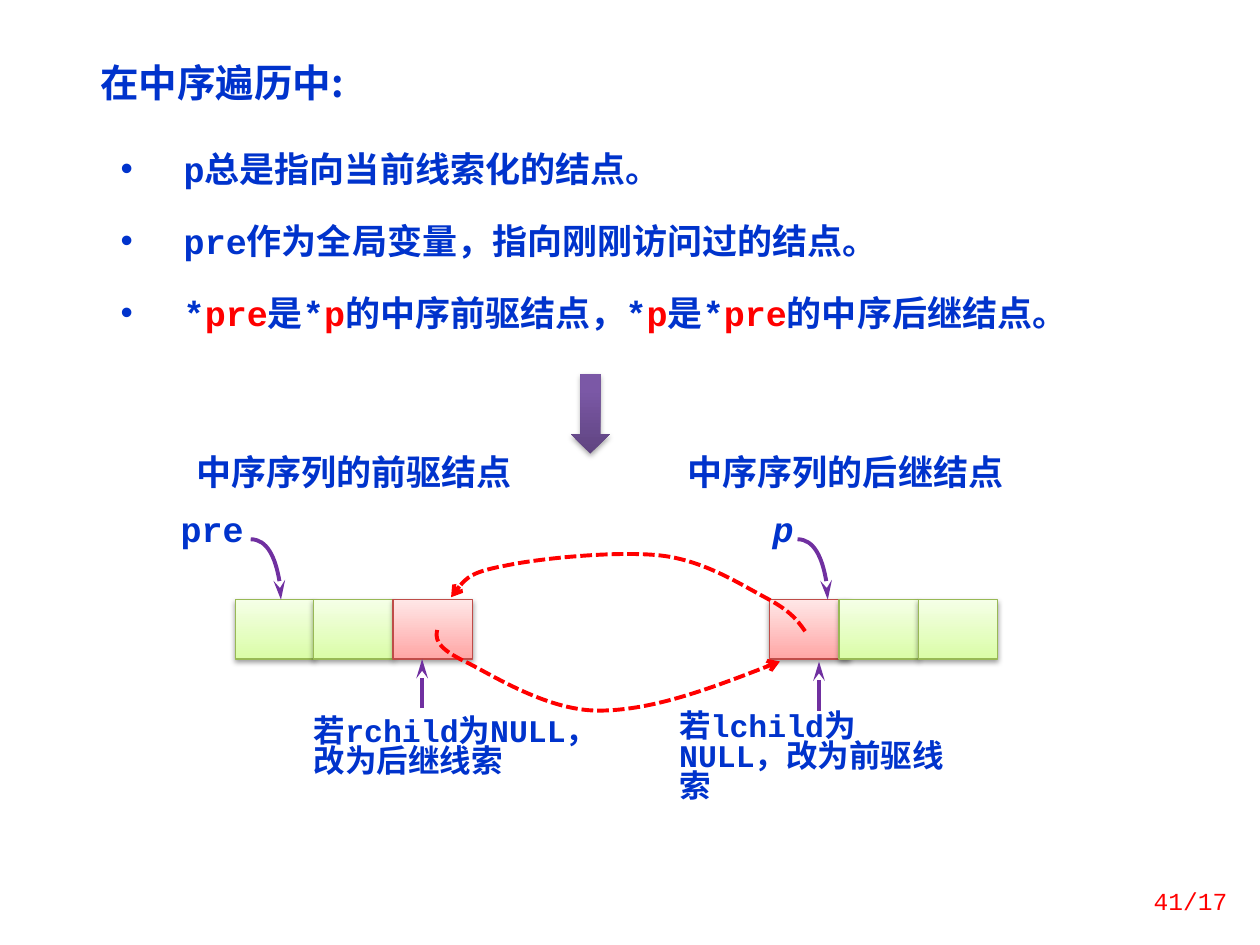
"""Build the slide on threading a binary tree during in-order traversal."""
from lxml import etree
from pptx import Presentation, util as u
from pptx.dml.color import RGBColor
from pptx.enum import dml, shapes, text
from pptx.oxml.ns import qn

BLUE = RGBColor(0x00, 0x33, 0xCC)
RED = RGBColor(0xFF, 0x00, 0x00)
PURPLE = RGBColor(0x70, 0x30, 0xA0)
GREEN_EDGE = RGBColor(0x98, 0xB9, 0x55)
PINK_EDGE = RGBColor(0xBF, 0x4C, 0x48)
GREEN = (RGBColor(0xDA, 0xFD, 0xA7), RGBColor(0xF5, 0xFF, 0xE7))
PINK = (RGBColor(0xFF, 0xA6, 0xA5), RGBColor(0xFF, 0xE7, 0xE7))
VIOLET = (RGBColor(0x5F, 0x44, 0x80), RGBColor(0x7B, 0x58, 0xA6))
MONO, CJK, SERIF = "Courier New", "Noto Sans CJK SC", "Times New Roman"
LEFT, CENTER, RIGHT, JUSTIFY = (text.PP_ALIGN.LEFT, text.PP_ALIGN.CENTER,
                                text.PP_ALIGN.RIGHT, text.PP_ALIGN.JUSTIFY)

HEADING = "在中序遍历中:"
RULES = [
    ["p总是指向当前线索化的结点。"],
    ["pre作为全局变量，指向刚刚访问过的结点。"],
    ["*", ("pre", RED), "是*", ("p", RED), "的中序前驱结点，*", ("p", RED),
     "是*", ("pre", RED), "的中序后继结点。"],
]
PAGE = "41/17"
CELL_W, CELL_H, CELL_TOP = 0.63, 0.47, 4.76
NODES = [
    {"title": "中序序列的前驱结点", "title_left": 1.46,
     "pointer": "pre", "pointer_left": 1.33, "italic": False, "hook_left": 1.99,
     "cells": [(1.87, "green"), (2.49, "green"), (3.12, "pink")],
     "caption": "若rchild为NULL，改为后继线索", "caption_at": (2.49, 5.7, 2.28, 0.61),
     "arrow": (3.35, 5.62)},
    {"title": "中序序列的后继结点", "title_left": 5.36,
     "pointer": "p", "pointer_left": 5.86, "italic": True, "hook_left": 6.33,
     "cells": [(6.11, "pink"), (6.66, "green"), (7.29, "green")],
     "caption": "若lchild为NULL，改为前驱线索", "caption_at": (5.39, 5.66, 2.18, 0.61),
     "arrow": (6.5, 5.64)},
]
CELL_STYLES = {"green": (GREEN, GREEN_EDGE), "pink": (PINK, PINK_EDGE)}
THREADS = [
    [(3.47, 5), (3.46, 5.06), (3.45, 5.13), (3.67, 5.24), (3.88, 5.34), (4.33, 5.64),
     (4.75, 5.64), (5.17, 5.64), (5.68, 5.45), (6.19, 5.25)],
    [(6.39, 5.01), (6.32, 4.91), (6.26, 4.84), (6.07, 4.74), (5.88, 4.64), (5.59, 4.45),
     (5.25, 4.41), (4.91, 4.37), (4.29, 4.43), (4.01, 4.49), (3.74, 4.54), (3.66, 4.62),
     (3.58, 4.74)],
]
HOOK = [(0, 4.28), (0.13, 4.28), (0.24, 4.5), (0.24, 4.76)]

deck = Presentation()
deck.slide_width, deck.slide_height = u.Inches(10), u.Inches(7.5)
slide = deck.slides.add_slide(deck.slide_layouts[6])


def inches(*lengths):
    return [u.Inches(length) for length in lengths]


def add_text(paragraphs, at, font=MONO, size=20, color=BLUE, bold=True, italic=False,
             align=LEFT, spacing=0.8, gap=0, bullet=False, inset=None, middle=False):
    box = slide.shapes.add_textbox(*inches(*at))
    frame = box.text_frame
    frame.word_wrap = True
    if inset is not None:
        frame.margin_left = frame.margin_right = u.Inches(inset)
        frame.margin_top = frame.margin_bottom = u.Inches(inset)
    if middle:
        frame.vertical_anchor = text.MSO_ANCHOR.MIDDLE
    for index, runs in enumerate(paragraphs):
        para = frame.add_paragraph() if index else frame.paragraphs[0]
        if bullet:
            props = para._p.get_or_add_pPr()
            props.set("marL", str(u.Inches(0.5)))
            props.set("indent", str(-u.Inches(0.5)))
            etree.SubElement(props, qn("a:buFont"), typeface="Arial")
            etree.SubElement(props, qn("a:buChar"), char="•")
        para.alignment, para.line_spacing = align, spacing
        if index:
            para.space_before = u.Pt(gap)
        for part in runs:
            words, tint = (part, color) if isinstance(part, str) else part
            run = para.add_run()
            run.text = words
            run.font.name, run.font.size = font, u.Pt(size)
            run.font.bold, run.font.italic = bold, italic
            run.font.color.rgb = tint
            latin = run._r.rPr.find(qn("a:latin"))
            latin.addnext(etree.Element(qn("a:ea"), typeface=CJK))


def add_shaded(kind, at, colors, edge=None, last_stop=1, opacity=38):
    shape = slide.shapes.add_shape(kind, *inches(*at))
    shape.fill.gradient()
    shape.fill.gradient_angle = 90
    for stop, color, position in zip(shape.fill.gradient_stops, colors, (0, last_stop)):
        stop.color.rgb, stop.position = color, position
    if edge is None:
        shape.line.fill.background()
    else:
        shape.line.color.rgb, shape.line.width = edge, u.Pt(0.75)
    shape.shadow.inherit = False
    effects = shape._element.spPr.find(qn("a:effectLst"))
    shadow = etree.SubElement(effects, qn("a:outerShdw"), blurRad=str(u.Pt(3.1)),
                              dist=str(u.Pt(1.6)), dir="5400000", rotWithShape="0")
    black = etree.SubElement(shadow, qn("a:srgbClr"), val="000000")
    etree.SubElement(black, qn("a:alpha"), val=str(opacity * 1000))


def style_arrow(arrow, color, head, length="med", dash=None):
    arrow.line.color.rgb, arrow.line.width = color, u.Pt(2.25)
    if dash:
        arrow.line.dash_style = dash
    props = arrow._element.spPr
    etree.SubElement(props.find(qn("a:ln")), qn("a:tailEnd"), type=head, len=length)
    if props.find(qn("a:effectLst")) is None:
        etree.SubElement(props, qn("a:effectLst"))


def add_curve(points, color, head, **look):
    """Draw a chain of cubic curves; every third point is a knot."""
    start, *rest = [inches(*point) for point in points]
    builder = slide.shapes.build_freeform(*start)
    builder.add_line_segments(rest, close=False)
    curve = builder.convert_to_shape()
    segments = list(curve._element.iter(qn("a:lnTo")))
    outline = segments[0].getparent()
    for first in range(0, len(segments), 3):
        cubic = etree.SubElement(outline, qn("a:cubicBezTo"))
        for segment in segments[first:first + 3]:
            cubic.append(segment[0])
            outline.remove(segment)
    curve.fill.background()
    curve.shadow.inherit = False
    style_arrow(curve, color, head, **look)


add_text(RULES, (0.86, 1.02, 8.28, 1.75), align=JUSTIFY, spacing=1.3, gap=10, bullet=True)
add_text([[HEADING]], (0.7, 0.31, 3.98, 0.51), font=CJK, size=22, align=JUSTIFY, spacing=1.3)

for node in NODES:
    add_text([[node["title"]]], (node["title_left"], 3.59, 2.99, 0.43), font=SERIF)
    for left, style in node["cells"]:
        add_shaded(shapes.MSO_SHAPE.RECTANGLE, (left, CELL_TOP, CELL_W, CELL_H),
                   *CELL_STYLES[style])
    add_curve([(node["hook_left"] + x, y) for x, y in HOOK], PURPLE, "stealth", length="lg")
    add_text([[node["pointer"]]], (node["pointer_left"], 4.09, 0.71, 0.33),
             italic=node["italic"], align=CENTER, inset=0)

for node in NODES:
    x, y = node["arrow"]
    pointer_up = slide.shapes.add_connector(shapes.MSO_CONNECTOR.STRAIGHT,
                                            *inches(x, y, x, y - 0.39))
    style_arrow(pointer_up, PURPLE, "stealth", length="lg")
    add_text([[node["caption"]]], node["caption_at"], size=18, inset=0)

for thread in THREADS:
    add_curve(thread, RED, "arrow", dash=dml.MSO_LINE.SQUARE_DOT)

add_shaded(shapes.MSO_SHAPE.DOWN_ARROW, (4.53, 2.97, 0.31, 0.63), VIOLET,
           last_stop=0.8, opacity=35)
add_text([[PAGE]], (8.78, 6.95, 1.06, 0.4), size=14, color=RED, bold=False,
         align=RIGHT, spacing=1, middle=True)

deck.save("out.pptx")
